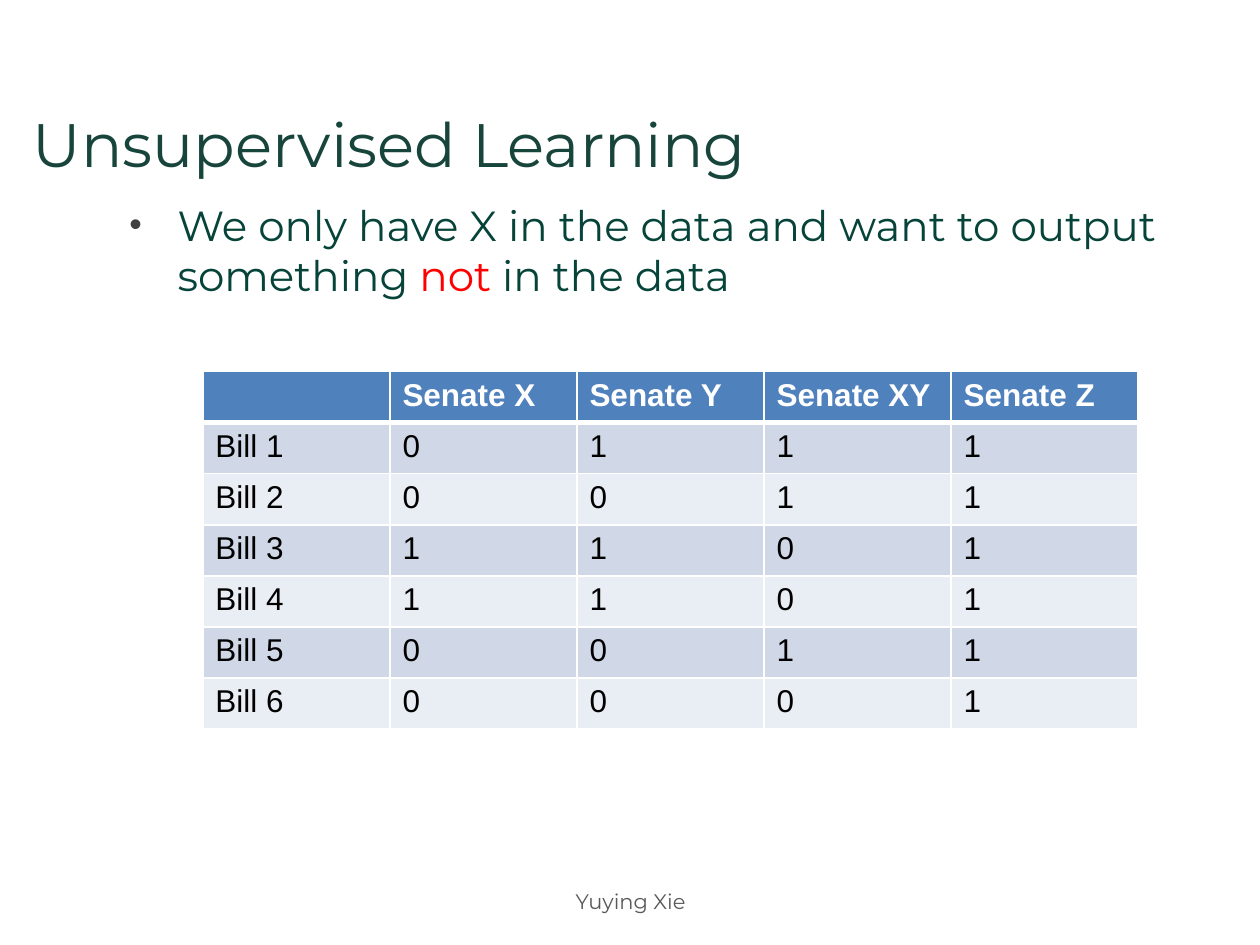
"""Build the Unsupervised Learning slide with its table of senate votes."""
from dataclasses import dataclass

from lxml.etree import SubElement
from pptx import Presentation
from pptx.dml.color import RGBColor as Rgb
from pptx.enum.text import MSO_ANCHOR as Anchor, PP_ALIGN as Align
from pptx.oxml.ns import qn
from pptx.util import Cm, Pt


@dataclass(frozen=True)
class Theme:
    heading_font: str = "Montserrat"
    table_font: str = "Arial"
    title_size: int = 35
    statement_size: int = 24
    table_size: int = 18
    footer_size: int = 12
    title: str = "18453B"
    statement: str = "064339"
    emphasis: str = "FF0000"
    bullet: str = "404040"
    footer: str = "595959"
    header_fill: str = "4F81BD"
    bands: tuple = ("D0D8E8", "E9EDF4")
    white: str = "FFFFFF"
    black: str = "000000"


THEME = Theme()
VOTES = (
    ("", "Senate X", "Senate Y", "Senate XY", "Senate Z"),
    ("Bill 1", 0, 1, 1, 1),
    ("Bill 2", 0, 0, 1, 1),
    ("Bill 3", 1, 1, 0, 1),
    ("Bill 4", 1, 1, 0, 1),
    ("Bill 5", 0, 0, 1, 1),
    ("Bill 6", 0, 0, 0, 1),
)


def style_run(run, font, size, color, bold=False):
    run.font.name = font
    run.font.size = Pt(size)
    run.font.bold = bold
    run.font.color.rgb = Rgb.from_string(color)


def add_text(slide, place, pieces, size, align=Align.LEFT, anchor=Anchor.TOP):
    box = slide.shapes.add_textbox(*(Cm(length) for length in place))
    frame = box.text_frame
    frame.word_wrap = True
    frame.vertical_anchor = anchor
    paragraph = frame.paragraphs[0]
    paragraph.alignment = align
    for words, color in pieces:
        run = paragraph.add_run()
        run.text = words
        style_run(run, THEME.heading_font, size, color)
    return paragraph


def add_bullet(paragraph, margin, hang):
    properties = paragraph._p.get_or_add_pPr()
    properties.set("marL", str(Cm(margin)))
    properties.set("indent", str(-Cm(hang)))
    color = SubElement(properties, qn("a:buClr"))
    SubElement(color, qn("a:srgbClr"), val=THEME.bullet)
    SubElement(properties, qn("a:buSzPct"), val="85000")
    SubElement(properties, qn("a:buFont"), typeface=THEME.table_font)
    SubElement(properties, qn("a:buChar"), char="•")


def add_borders(cell, widths):
    properties = cell._tc.get_or_add_tcPr()
    for side, width in widths.items():
        border = SubElement(properties, qn(f"a:ln{side}"), w=str(Pt(width)))
        fill = SubElement(border, qn("a:solidFill"))
        SubElement(fill, qn("a:srgbClr"), val=THEME.white)


def fill_cell(cell, value, row):
    header = row == 0
    add_borders(cell, {"L": 1, "R": 1, "T": 3 if row == 1 else 1, "B": 3 if header else 1})
    fill = THEME.header_fill if header else THEME.bands[(row - 1) % 2]
    cell.fill.solid()
    cell.fill.fore_color.rgb = Rgb.from_string(fill)
    cell.text_frame.text = str(value)
    color = THEME.white if header else THEME.black
    for run in cell.text_frame.paragraphs[0].runs:
        style_run(run, THEME.table_font, THEME.table_size, color, header)


def add_votes(slide, left, top, column_width, row_height):
    rows, columns = len(VOTES), len(VOTES[0])
    votes = slide.shapes.add_table(
        rows, columns, Cm(left), Cm(top), Cm(column_width * columns), Cm(row_height * rows)
    ).table
    for column in votes.columns:
        column.width = Cm(column_width)
    for row, values in enumerate(VOTES):
        votes.rows[row].height = Cm(row_height)
        for column, value in enumerate(values):
            fill_cell(votes.cell(row, column), value, row)


def main():
    deck = Presentation()
    deck.slide_width, deck.slide_height = Cm(25.4), Cm(19.05)
    slide = deck.slides.add_slide(deck.slide_layouts[6])
    statement = add_text(
        slide,
        (1.27, 3.89, 22.86, 2.74),
        (
            ("We only have X in the data and want to output something ", THEME.statement),
            ("not", THEME.emphasis),
            (" in the data", THEME.statement),
        ),
        THEME.statement_size,
    )
    add_bullet(statement, 2.06, 0.97)
    add_text(
        slide,
        (8.69, 17.65, 8.05, 1.02),
        (("Yuying Xie", THEME.footer),),
        THEME.footer_size,
        Align.CENTER,
        Anchor.MIDDLE,
    )
    add_text(
        slide,
        (0.41, 2.01, 17.98, 2.74),
        (("Unsupervised Learning", THEME.title),),
        THEME.title_size,
    )
    add_votes(slide, 4.09, 7.49, 3.77, 1.03)
    deck.save("out.pptx")


if __name__ == "__main__":
    main()
